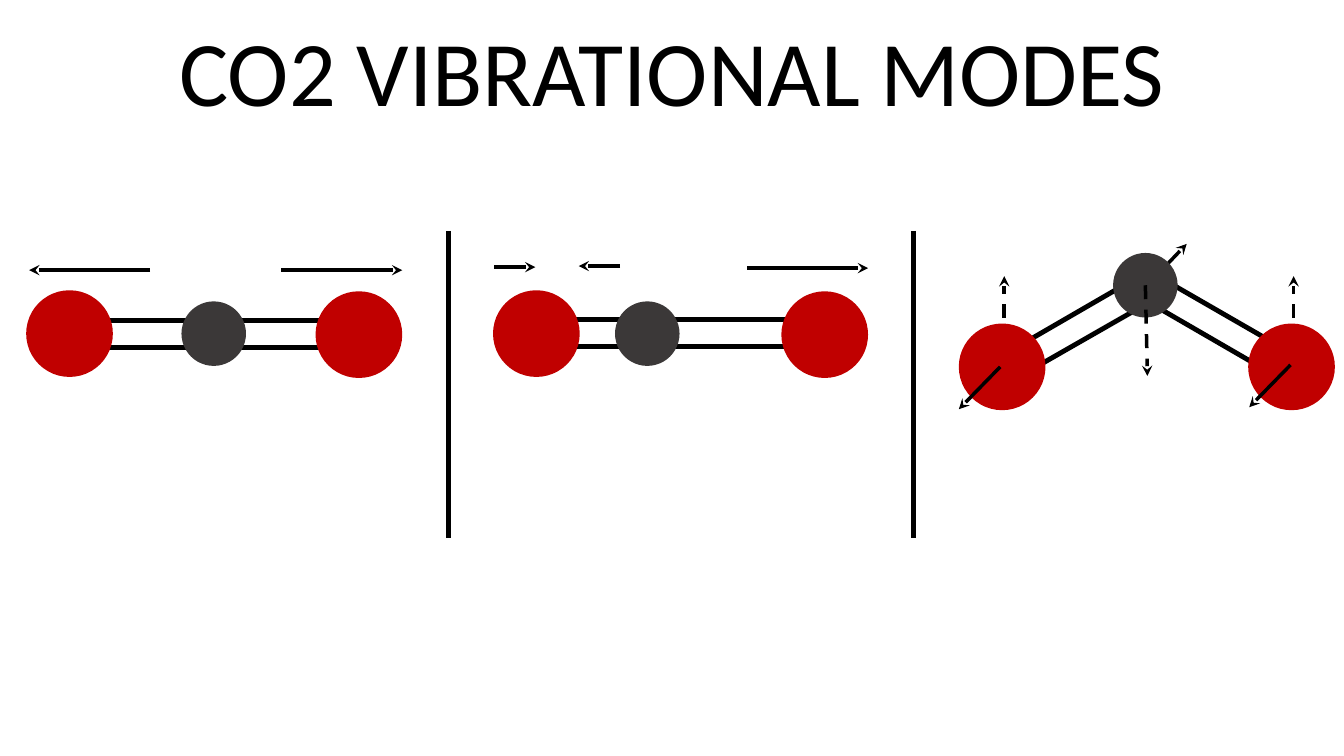
from lxml import etree
from pptx import Presentation
from pptx import util as u
from pptx.dml.color import RGBColor
from pptx.enum import dml, shapes, text
from pptx.oxml.ns import qn

BLACK = RGBColor(0x00, 0x00, 0x00)
RED = RGBColor(0xC0, 0x00, 0x00)
GRAY = RGBColor(0x3B, 0x38, 0x38)
PX = 9144


class Diagram:
    title_font = {"name": "Calibri", "size": u.Pt(66), "bold": False}
    title_frame = {
        "word_wrap": False,
        "auto_size": text.MSO_AUTO_SIZE.SHAPE_TO_FIT_TEXT,
        "vertical_anchor": text.MSO_ANCHOR.MIDDLE,
    }
    bond_width = 3.5
    divider_width = 3.25
    arrow_width = 2.5

    def __init__(self, prs):
        self.s = prs.slides.add_slide(prs.slide_layouts[5])

    def apply(self, target, values):
        for name, value in values.items():
            setattr(target, name, value)

    def title(self, words, left, top, width, height):
        sp = self.s.shapes.title
        self.apply(sp, {"left": left * PX, "top": top * PX,
                        "width": width * PX, "height": height * PX})
        tf = sp.text_frame
        self.apply(tf, self.title_frame)
        p = tf.paragraphs[0]
        p.alignment = text.PP_ALIGN.CENTER
        r = p.add_run()
        r.text = words
        self.apply(r.font, self.title_font)
        r.font.color.rgb = BLACK

    def line(self, x1, y1, x2, y2, width):
        cx = self.s.shapes.add_connector(
            shapes.MSO_CONNECTOR.STRAIGHT, *(v * PX for v in (x1, y1, x2, y2)))
        cx.line.color.rgb = BLACK
        cx.line.width = u.Pt(width)
        etree.SubElement(cx._element.spPr, qn("a:effectLst"))
        return cx

    def bond(self, *ends):
        self.line(*ends, self.bond_width)

    def divider(self, x, top, bottom):
        self.line(x, top, x, bottom, self.divider_width)

    def arrow(self, *ends, dashed=False):
        cx = self.line(*ends, self.arrow_width)
        if dashed:
            cx.line.dash_style = dml.MSO_LINE.DASH
        ln = cx.line._get_or_add_ln()
        etree.SubElement(ln, qn("a:tailEnd"), type="stealth")

    def atom(self, x, y, radius, color):
        sp = self.s.shapes.add_shape(
            shapes.MSO_SHAPE.OVAL, (x - radius) * PX, (y - radius) * PX,
            2 * radius * PX, 2 * radius * PX)
        sp.shadow.inherit = False
        sp.fill.solid()
        sp.fill.fore_color.rgb = color
        sp.line.fill.background()

    def oxygen(self, x, y):
        self.atom(x, y, 43, RED)

    def carbon(self, x, y):
        self.atom(x, y, 32, GRAY)


def main():
    prs = Presentation()
    prs.slide_width, prs.slide_height = 1333 * PX, 750 * PX
    d = Diagram(prs)
    d.title("CO2 VIBRATIONAL MODES", 163, 9, 1008, 121)

    for x in (445, 906):
        d.divider(x, 229, 534)

    d.arrow(1136, 285, 1177, 242)
    for x in (996, 1283):
        d.arrow(x, 364, x, 274, dashed=True)

    for left, top in ((82, 318), (537, 317)):
        for y in (top, top + 27):
            d.bond(left, y, left + 281, y)
    for ends in ((1005, 377, 1150, 294), (992, 354, 1137, 270),
                 (1124, 291, 1269, 375), (1138, 268, 1282, 351)):
        d.bond(*ends)

    for x, y in ((212, 331), (642, 331), (1136, 283)):
        d.carbon(x, y)
    for x, y in ((69, 331), (356, 332), (532, 331), (818, 332),
                 (994, 364), (1281, 364)):
        d.oxygen(x, y)

    for x1, x2, y in ((149, 29, 268), (279, 399, 268), (741, 861, 266),
                      (490, 531, 265), (615, 574, 264)):
        d.arrow(x1, y, x2, y)
    d.arrow(1136, 283, 1138, 373, dashed=True)
    for x, y in ((992, 364), (1280, 362)):
        d.arrow(x, y, x - 41, y + 42)

    prs.save("out.pptx")


if __name__ == "__main__":
    main()
